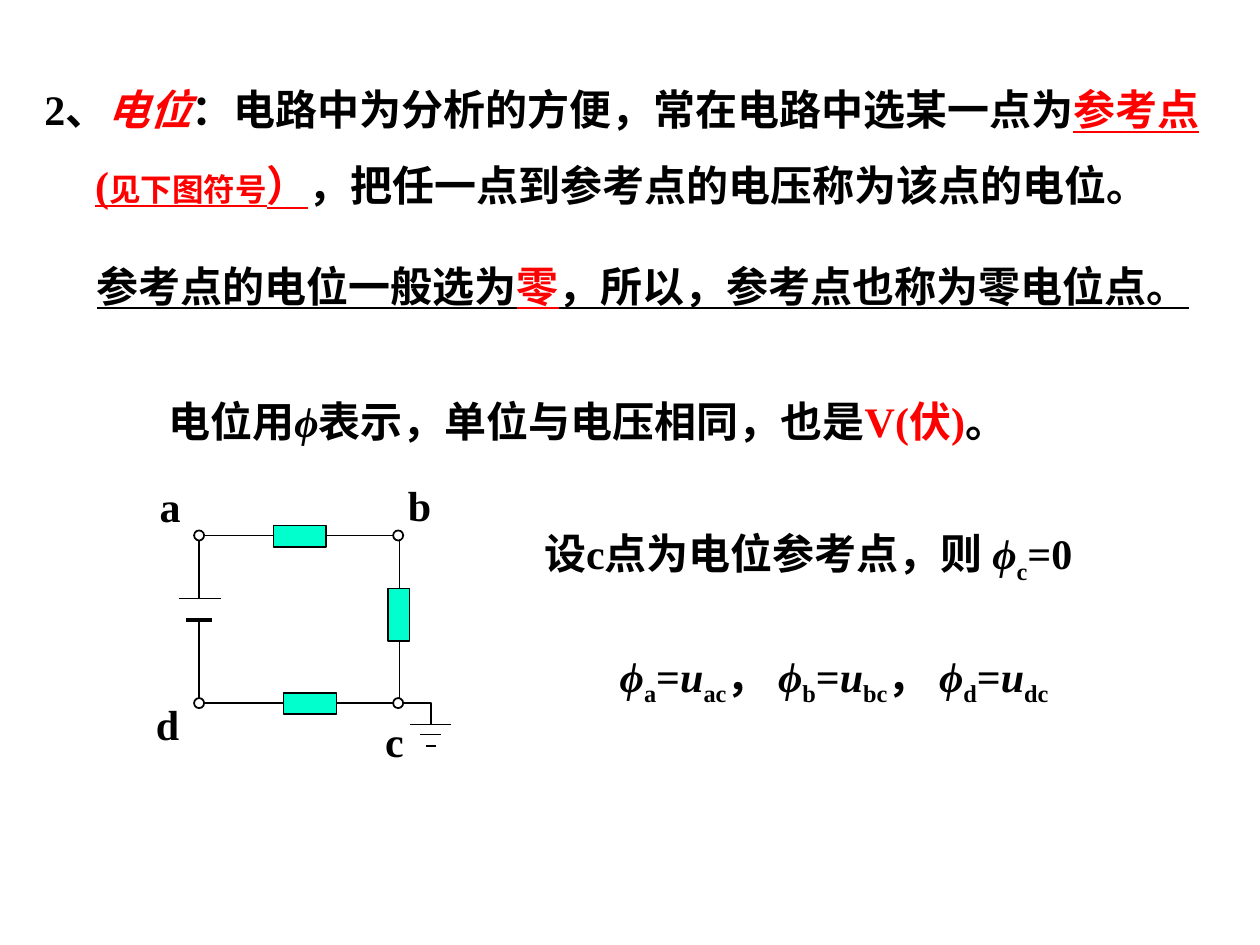
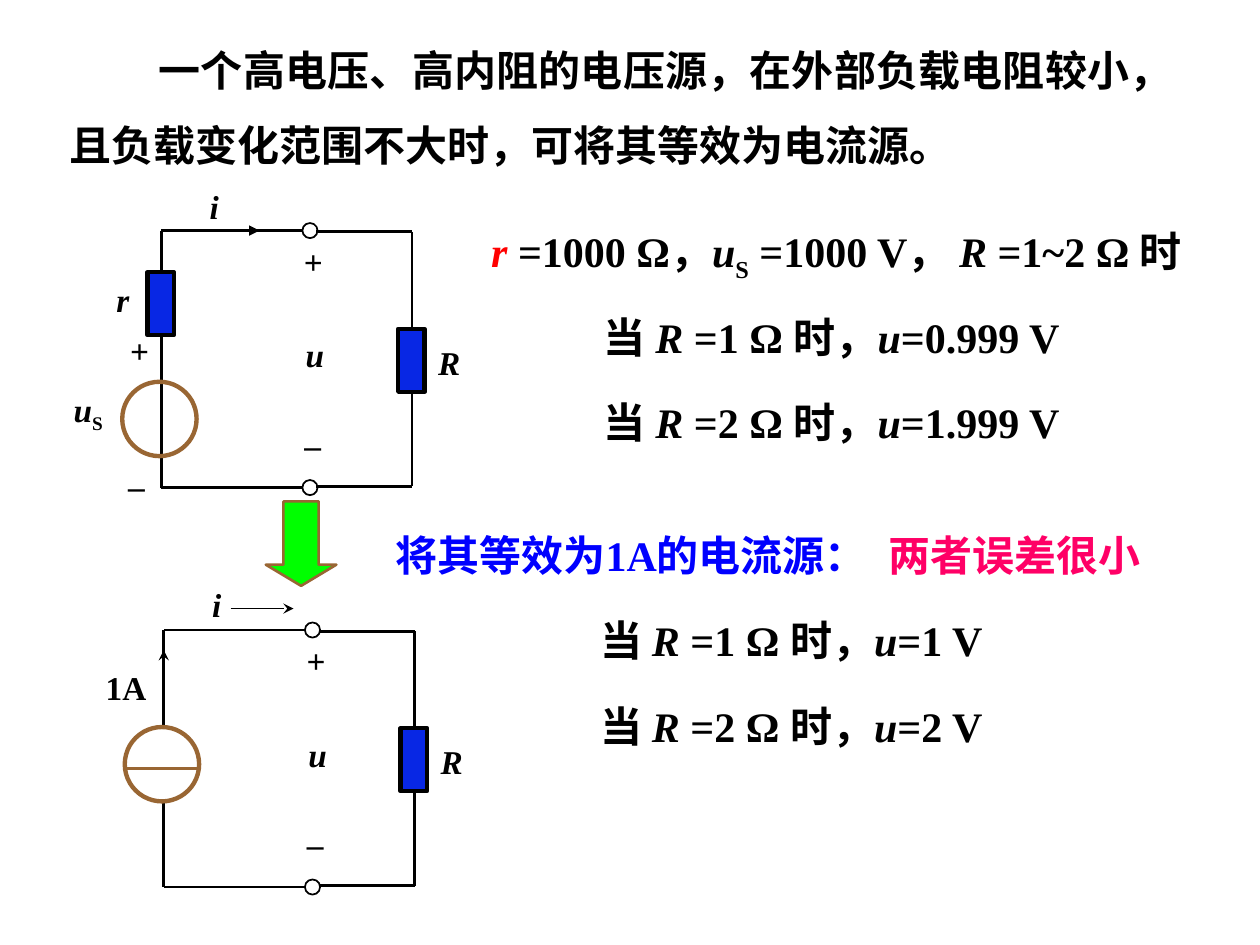
"""Builds two slides on electric potential and equivalent current sources."""
from lxml import etree
from pptx import Presentation
from pptx.dml.color import RGBColor
from pptx.enum.shapes import MSO_CONNECTOR as Connector, MSO_SHAPE as Shape
from pptx.enum.text import MSO_ANCHOR as Anchor, MSO_AUTO_SIZE as AutoSize, PP_ALIGN as Align
from pptx.oxml.ns import qn
from pptx.util import Inches, Pt

FONT = "Times New Roman"
BODY_SIZE, LABEL_SIZE = 24, 19
BLACK, WHITE, RED, BLUE, PINK = "000000", "FFFFFF", "FF0000", "0000FF", "FF0066"
TEAL, RESISTOR_BLUE, GREEN, BROWN = "00FFCC", "0827E4", "00FF00", "996633"

# Each run is (text, flags, colour, size); flags: i italic, u underlined, s subscript.
POTENTIAL_DEFINITION = [
    ("2、",), ("电位", "i", RED), ("：电路中为分析的方便，常在电路中选某一点为",),
    ("参考点(", "u", RED), ("见下图符号", "u", RED, 18), ("）", "u", RED),
    ("，把任一点到参考点的电压称为该点的电位。",),
]
ZERO_POINT = [("参考点的电位一般选为", "u"), ("零", "u", RED),
              ("，所以，参考点也称为零电位点。", "u")]
SYMBOL_AND_UNIT = [("电位用",), ("ϕ", "i"), ("表示，单位与电压相同，也是",),
                   ("V(伏)", "", RED), ("。",)]
REFERENCE_CHOICE = [("设c点为电位参考点，则 ",), ("ϕ", "i"), ("c", "s"), ("=0",)]
MEASURED_NODES = "abd"
NODE_LABELS = [("a", 1.08, 3.77, 0.54), ("b", 3.08, 3.76, 0.5),
               ("c", 2.92, 5.63, 0.42), ("d", 1.08, 5.5, 0.5)]
BATTERY_PLATES = [(1.42, 1.75, 4.75, 1), (1.48, 1.68, 4.92, 2.25)]
GROUND_BARS = [(3.25, 3.58, 5.75, 1), (3.33, 3.5, 5.83, 1), (3.38, 3.46, 5.92, 1)]
BRIDGE_RESISTORS = [(2.25, 5.5, 0.42, 0.17), (2.17, 4.17, 0.42, 0.17),
                    (3.08, 4.67, 0.17, 0.42)]
BRIDGE_WIRES = [
    [(1.58, 4.75), (1.58, 4.25), (2.17, 4.25)],
    [(2.58, 4.25), (3.17, 4.25), (3.17, 4.67)],
    [(1.58, 4.92), (1.58, 5.58), (2.25, 5.58)],
    [(2.67, 5.58), (3.17, 5.58), (3.17, 5.08)],
    [(3.17, 5.58), (3.42, 5.58), (3.42, 5.75)],
]

SOURCE_STATEMENT = [("一个高电压、高内阻的电压源，在外部负载电阻较小，且负载变化范围不大时，"
                     "可将其等效为电流源。",)]
GIVEN_VALUES = [("r ", "i", RED), ("=1000 Ω，",), ("u", "i"), ("S", "s"),
                (" =1000 V， ",), ("R ", "i"), ("=1~2 Ω 时",)]
RESULTS = [
    ((4.32, 2.42, 4.31, 0.5), "1", "0.999"), ((4.32, 3.1, 4.31, 0.5), "2", "1.999"),
    ((4.25, 4.83, 3.81, 0.5), "1", "1"), ((4.25, 5.51, 3.81, 0.5), "2", "2"),
]
CONCLUSIONS = [
    ("将其等效为1A的电流源：", BLUE, (2.69, 4.15, 4.64, 0.5)),
    ("两者误差很小", PINK, (6.84, 4.15, 2.43, 0.5)),
]
SECOND_CIRCUIT_OFFSET = (0.02, 3.17)


def color(value):
    return RGBColor.from_string(value)


def add_text(slide, box, runs, size=BODY_SIZE, align=Align.CENTER, spacing=None,
             indent=0, left_inset=0.1, wrap=True, rotation=0):
    text_box = slide.shapes.add_textbox(*map(Inches, box))
    text_box.rotation = rotation
    frame = text_box.text_frame
    frame.word_wrap = wrap
    frame.auto_size = AutoSize.SHAPE_TO_FIT_TEXT
    frame.vertical_anchor = Anchor.MIDDLE
    frame.margin_left = Inches(left_inset)
    paragraph = frame.paragraphs[0]
    paragraph.alignment = align
    if spacing:
        paragraph.line_spacing = spacing
    if indent:
        properties = paragraph._p.get_or_add_pPr()
        properties.set("marL", "0")
        properties.set("indent", str(Inches(indent)))
    for text, *style in runs:
        flags, run_color, run_size = style + ["", BLACK, size][len(style):]
        run = paragraph.add_run()
        run.text = text
        run.font.name = FONT
        run.font.size = Pt(run_size)
        run.font.bold = True
        run.font.italic = "i" in flags
        run.font.underline = "u" in flags
        run.font.color.rgb = color(run_color)
        if "s" in flags:
            run._r.get_or_add_rPr().set("baseline", "-25000")


def add_label(slide, box, *runs, rotation=0):
    add_text(slide, box, runs, LABEL_SIZE, wrap=False, rotation=rotation)


def style_shape(shape, fill, line, width):
    shape.shadow.inherit = False
    if fill:
        shape.fill.solid()
        shape.fill.fore_color.rgb = color(fill)
    else:
        shape.fill.background()
    shape.line.color.rgb = color(line)
    shape.line.width = Pt(width)


def add_figure(slide, kind, box, fill=None, line=BLACK, width=1.0):
    shape = slide.shapes.add_shape(kind, *map(Inches, box))
    style_shape(shape, fill, line, width)
    return shape


def add_line(slide, start, end, width=1.5, line=BLACK, arrow=None):
    connector = slide.shapes.add_connector(Connector.STRAIGHT, *map(Inches, start + end))
    connector.line.color.rgb = color(line)
    connector.line.width = Pt(width)
    if arrow:
        etree.SubElement(connector.line._get_or_add_ln(), qn("a:tailEnd"), type=arrow)
    etree.SubElement(connector._element.spPr, qn("a:effectLst"))


def add_bent_wire(slide, points):
    start, *rest = [tuple(map(Inches, point)) for point in points]
    builder = slide.shapes.build_freeform(*start)
    builder.add_line_segments(rest, close=False)
    style_shape(builder.convert_to_shape(), None, BLACK, 1)


def add_bridge_circuit(slide):
    for left, right, y, width in BATTERY_PLATES + GROUND_BARS:
        add_line(slide, (left, y), (right, y), width)
    for box in BRIDGE_RESISTORS:
        add_figure(slide, Shape.RECTANGLE, box, TEAL)
    for points in BRIDGE_WIRES:
        add_bent_wire(slide, points)
    for x in (1.54, 3.12):
        for y in (4.21, 5.54):
            add_figure(slide, Shape.OVAL, (x, y, 0.08, 0.08), WHITE)
    for name, left, top, width in NODE_LABELS:
        add_text(slide, (left, top, width, 0.49), [(name,)])


def add_resistor(slide, left, top):
    add_figure(slide, Shape.RECTANGLE, (left, top, 0.21, 0.5), RESISTOR_BLUE, width=2.5)


def add_load_loop(slide, dx=0, dy=0):
    def place(x, y, *size):
        return (x + dx, y + dy) + size

    for right_y, left_y in ((1.84, 1.83), (3.86, 3.87)):
        add_line(slide, place(2.51, right_y), place(3.27, right_y))
        add_line(slide, place(2.4, left_y), place(1.28, left_y))
        add_figure(slide, Shape.OVAL, place(2.4, left_y - 0.06, 0.12, 0.12))
    add_line(slide, place(3.27, 1.84), place(3.27, 3.86))
    add_resistor(slide, *place(3.16, 2.61))
    add_label(slide, place(3.37, 2.66, 0.39, 0.43), ("R", "i"))
    add_label(slide, place(2.32, 2.6, 0.36, 0.43), ("u", "i"))
    add_label(slide, place(2.31, 1.89, 0.36, 0.43), ("+", "i"), rotation=180)
    add_label(slide, place(2.33, 3.22, 0.34, 0.43), ("_", "i"))


def add_source_ring(slide, left, top):
    add_figure(slide, Shape.OVAL, (left, top, 0.59, 0.59), line=BROWN, width=2.5)


def add_voltage_source(slide):
    add_line(slide, (1.56, 1.83), (2.06, 1.83), 1, arrow="triangle")
    add_line(slide, (1.28, 3.87), (1.28, 1.83))
    add_source_ring(slide, 0.97, 3.03)
    add_resistor(slide, 1.17, 2.16)
    add_label(slide, (0.48, 3.06, 0.44, 0.42), ("u", "i"), ("S", "s"))
    add_label(slide, (0.93, 2.6, 0.36, 0.43), ("+", "i"), rotation=180)
    add_label(slide, (0.93, 3.55, 0.34, 0.43), ("_", "i"))
    add_label(slide, (1.56, 1.42, 0.28, 0.43), ("i", "i"))
    add_label(slide, (0.82, 2.16, 0.31, 0.43), ("r", "i"))


def add_current_source(slide):
    add_line(slide, (1.83, 4.83), (2.33, 4.83), 1, arrow="stealth")
    add_line(slide, (1.3, 7.04), (1.3, 6.36))
    add_line(slide, (1.3, 5.76), (1.3, 5))
    add_line(slide, (1.3, 5.76), (1.3, 5.16), 1, arrow="stealth")
    add_source_ring(slide, 0.99, 5.77)
    add_line(slide, (1.58, 6.1), (0.99, 6.1), line=BROWN)
    add_label(slide, (0.73, 5.24, 0.54, 0.43), ("1A",))
    add_label(slide, (1.58, 4.58, 0.28, 0.43), ("i", "i"))


def build_potential_slide(slide):
    add_text(slide, (0.2, 0.45, 9.47, 1.23), POTENTIAL_DEFINITION, spacing=1.5)
    add_text(slide, (0.67, 1.85, 9, 0.63), ZERO_POINT, align=Align.JUSTIFY, spacing=1.5)
    add_text(slide, (1.08, 3.09, 7.17, 0.49), SYMBOL_AND_UNIT)
    add_bridge_circuit(slide)
    add_text(slide, (4.08, 4.17, 4.67, 0.49), REFERENCE_CHOICE)
    node_potentials = []
    for node in MEASURED_NODES:
        if node_potentials:
            node_potentials.append(("， ",))
        node_potentials += [("ϕ", "i"), (node, "s"), ("=",), ("u", "i"), (node + "c", "s")]
    add_text(slide, (3.58, 5.14, 6.08, 0.5), node_potentials)


def build_equivalence_slide(slide):
    add_text(slide, (0.45, 0.25, 8.62, 1), SOURCE_STATEMENT, align=Align.JUSTIFY,
             spacing=1.5, indent=0.71)
    add_load_loop(slide)
    add_voltage_source(slide)
    add_text(slide, (3.76, 1.77, 5.76, 0.5), GIVEN_VALUES)
    arrow = add_figure(slide, Shape.DOWN_ARROW, (2.11, 3.98, 0.56, 0.67), GREEN, BROWN, 1.5)
    arrow.adjustments[0], arrow.adjustments[1] = 0.5, 0.3
    add_load_loop(slide, *SECOND_CIRCUIT_OFFSET)
    add_current_source(slide)
    for box, resistance, voltage in RESULTS:
        runs = [("当 ",), ("R", "i"), (f" ={resistance} Ω 时，",), ("u", "i"),
                (f"={voltage} V",)]
        add_text(slide, box, runs, left_inset=0.35)
    for text, text_color, box in CONCLUSIONS:
        add_text(slide, box, [(text, "", text_color)])


def main():
    presentation = Presentation()
    presentation.slide_width, presentation.slide_height = Inches(10), Inches(7.5)
    for build in (build_potential_slide, build_equivalence_slide):
        build(presentation.slides.add_slide(presentation.slide_layouts[6]))
    presentation.save("out.pptx")


if __name__ == "__main__":
    main()
